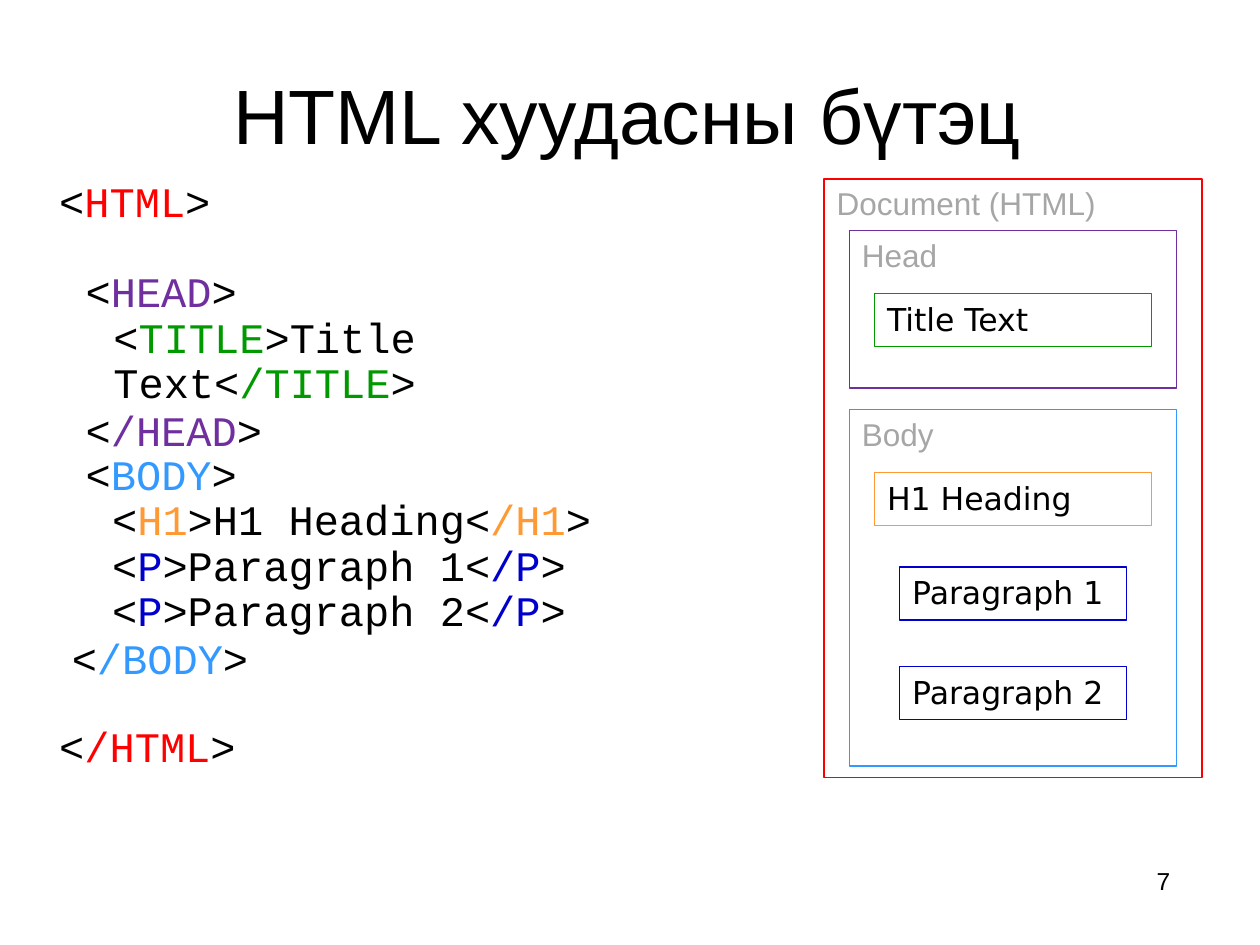
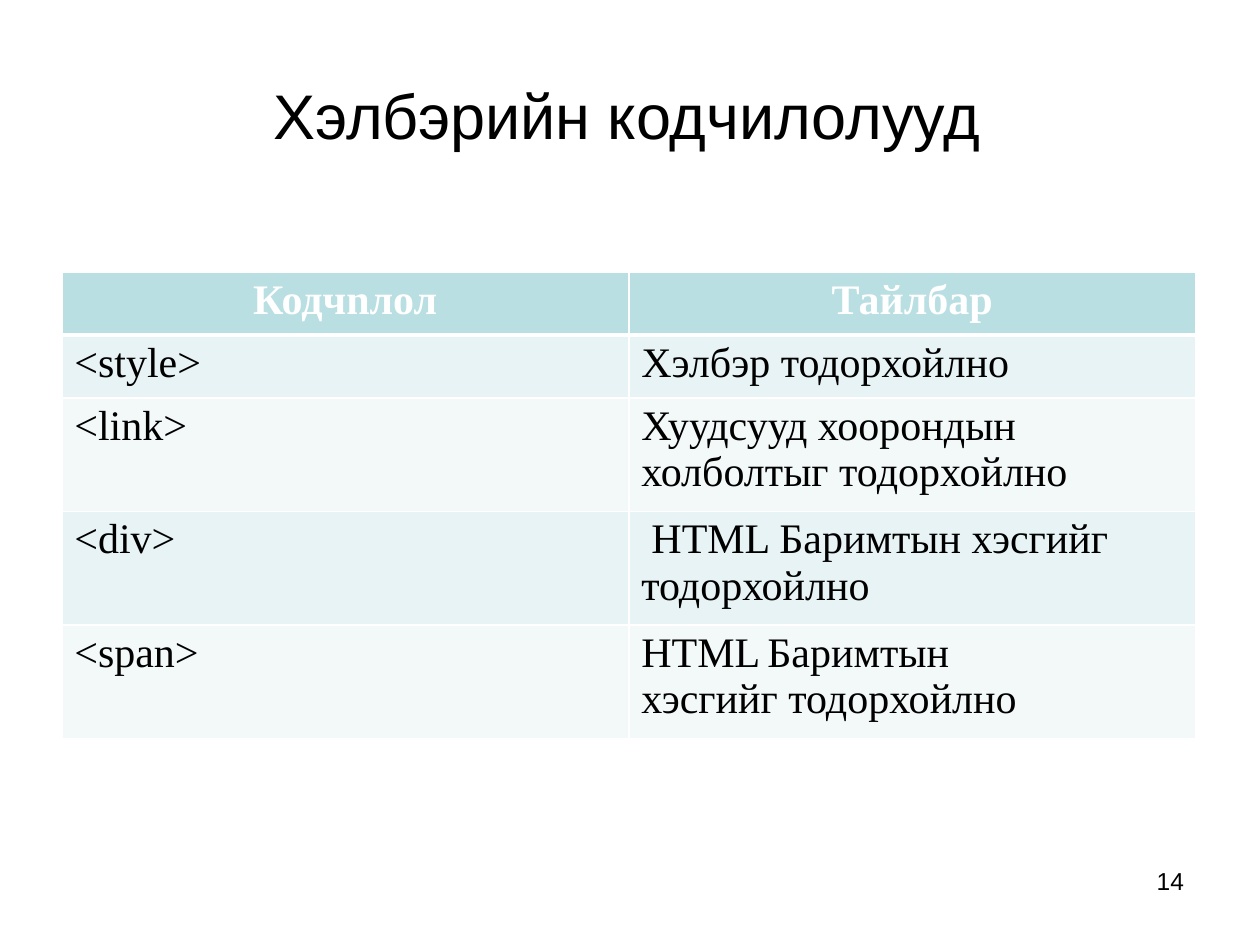
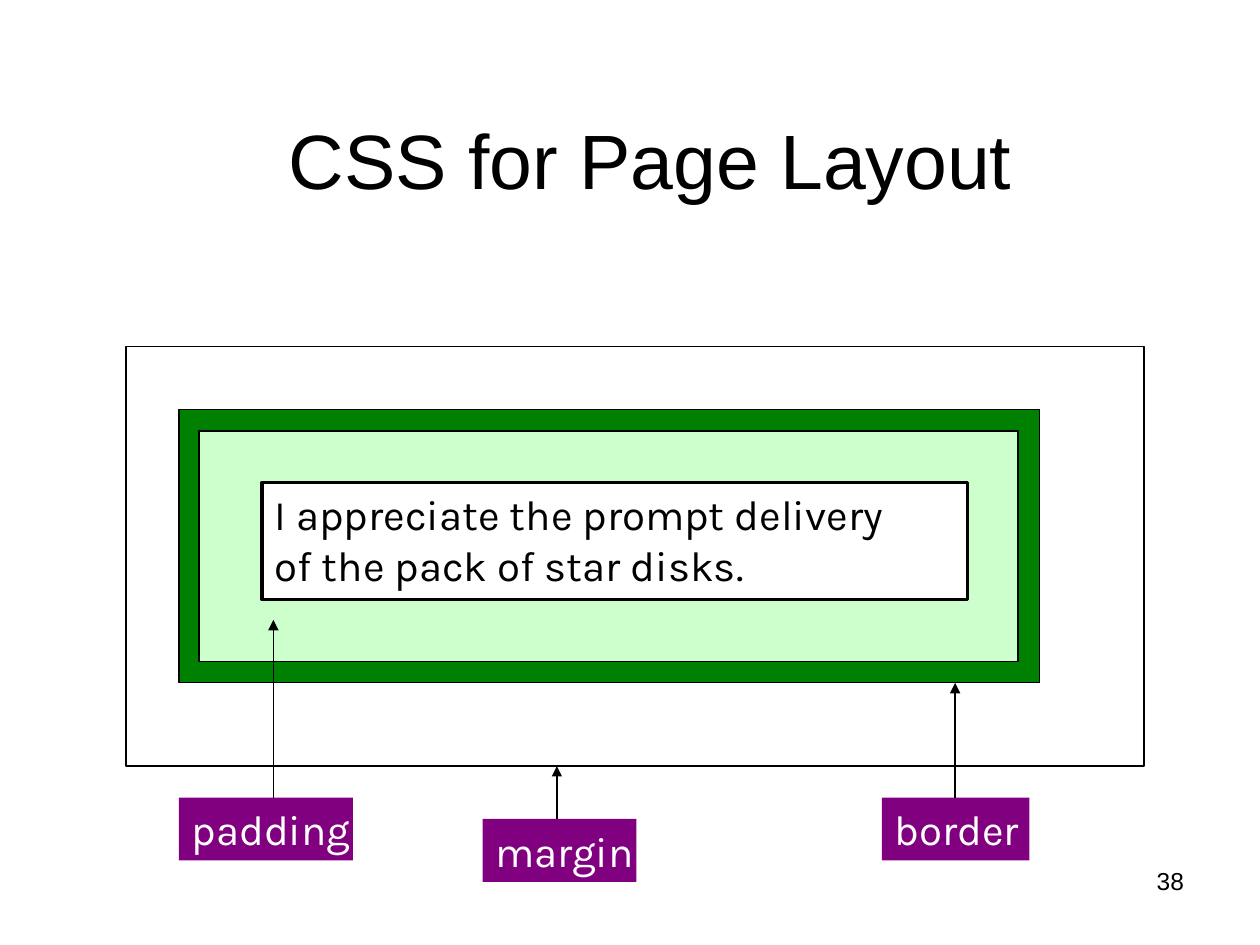
"""Build three lecture slides on HTML structure, style tags and CSS page layout."""
from lxml import etree
from pptx import Presentation
from pptx.dml.color import RGBColor
from pptx.enum.shapes import MSO_CONNECTOR, MSO_SHAPE
from pptx.enum.text import MSO_ANCHOR, MSO_AUTO_SIZE, PP_ALIGN
from pptx.oxml.ns import qn
from pptx.util import Inches, Pt

RECTANGLE = MSO_SHAPE.RECTANGLE
STRAIGHT = MSO_CONNECTOR.STRAIGHT
TOP = MSO_ANCHOR.TOP
NO_AUTOFIT = MSO_AUTO_SIZE.NONE
LEFT, CENTER = PP_ALIGN.LEFT, PP_ALIGN.CENTER

BLACK, WHITE, GRAY = "000000", "FFFFFF", "A6A6A6"
RED, VIOLET, GREEN = "FF0000", "6F2F9F", "009900"
SKY, ORANGE, BLUE = "3399FF", "FF9933", "0000CC"
PURPLE, DARK_GREEN, PALE_GREEN = "800080", "008000", "CCFFCC"
HEADER_FILL, BAND_FILLS = "BADFE2", ("E7F3F4", "F3F8F9")
SANS, CODE, BOX, SERIF, CSS = (
    "Arial", "Courier New", "DejaVu Sans", "Times New Roman", "Karla")
TAG_COLORS = {"HTML": RED, "HEAD": VIOLET, "TITLE": GREEN,
              "BODY": SKY, "H1": ORANGE, "P": BLUE}


def rgb(value):
    """Turn a hex string into a colour."""
    return RGBColor.from_string(value)


def style_font(font, name, size, color, bold=False):
    """Set the typeface, size, colour and weight of a font."""
    font.name, font.size, font.bold = name, Pt(size), bold
    font.color.rgb = rgb(color)


def set_indent(paragraph, left=0, first=0, right=0):
    """Set the paragraph margins in inches."""
    properties = paragraph._p.get_or_add_pPr()
    for key, value in (("marL", left), ("marR", right), ("indent", first)):
        properties.set(key, str(Inches(value)))


def add_tab(paragraph, position):
    """Add a left tab stop."""
    tabs = etree.SubElement(paragraph._p.get_or_add_pPr(), qn("a:tabLst"))
    etree.SubElement(tabs, qn("a:tab"), pos=str(Inches(position)), algn="l")


def add_border(cell, side, width):
    """Draw one white border of a table cell."""
    line = etree.SubElement(cell._tc.get_or_add_tcPr(), qn(f"a:ln{side}"), w=str(Pt(width)))
    fill = etree.SubElement(line, qn("a:solidFill"))
    etree.SubElement(fill, qn("a:srgbClr"), val=WHITE)


class Deck:
    """Hold the shared style and the current slide."""

    def __init__(self):
        """Start an empty presentation."""
        self.presentation = Presentation()
        self.presentation.slide_width = Inches(10)
        self.presentation.slide_height = Inches(7.5)
        self.slide = None

    def prepare_frame(self, shape, inset_top):
        """Give a shape a wrapped, top-anchored text frame."""
        frame = shape.text_frame
        frame.word_wrap, frame.auto_size = True, NO_AUTOFIT
        frame.vertical_anchor = TOP
        frame.margin_left = frame.margin_right = frame.margin_bottom = 0
        frame.margin_top = Inches(inset_top)
        return frame

    def add_slide(self, title, number, place, size=44):
        """Add a slide with its title and page number."""
        self.slide = self.presentation.slides.add_slide(self.presentation.slide_layouts[5])
        shape = self.slide.shapes.title
        shape.left, shape.top, shape.width, shape.height = map(Inches, place)
        frame = self.prepare_frame(shape, 0.01)
        frame.text = title
        paragraph = frame.paragraphs[0]
        paragraph.alignment = LEFT
        set_indent(paragraph, 0.01)
        style_font(paragraph.runs[0].font, SANS, size, BLACK)
        self.add_number(number)

    def add_number(self, number):
        """Add the page number at the lower right."""
        shape = self.slide.shapes.add_textbox(*map(Inches, (9.14, 6.88, 0.45, 0.25)))
        frame = self.prepare_frame(shape, 0)
        frame.text = str(number)
        paragraph = frame.paragraphs[0]
        paragraph.line_spacing = Pt(16.5)
        set_indent(paragraph, 0.04)
        style_font(paragraph.runs[0].font, SANS, 14, BLACK)

    def add_box(self, place, text="", font=SANS, size=18, color=BLACK,
                fill=None, line=None, line_width=0.75, inset_top=0.05, right=0):
        """Add a rectangle with optional text, fill and outline."""
        shape = self.slide.shapes.add_shape(RECTANGLE, *map(Inches, place))
        shape.shadow.inherit = False
        if fill:
            shape.fill.solid()
            shape.fill.fore_color.rgb = rgb(fill)
        else:
            shape.fill.background()
        if line:
            shape.line.color.rgb = rgb(line)
            shape.line.width = Pt(line_width)
        else:
            shape.line.fill.background()
        if text:
            frame = self.prepare_frame(shape, inset_top)
            frame.text = text
            paragraph = frame.paragraphs[0]
            paragraph.alignment = LEFT
            set_indent(paragraph, 0.1, right=right)
            style_font(paragraph.runs[0].font, font, size, color)

    def add_code(self, place, lines):
        """Add markup lines, each with indent and line height, colouring the tag names."""
        shape = self.slide.shapes.add_textbox(*map(Inches, place))
        frame = self.prepare_frame(shape, 0.01)
        for index, (text, indent, height) in enumerate(lines):
            paragraph = frame.add_paragraph() if index else frame.paragraphs[0]
            set_indent(paragraph, indent)
            paragraph.line_spacing = Pt(height)
            for piece in text.replace("<", "<|").replace(">", "|>").split("|"):
                run = paragraph.add_run()
                run.text = piece
                style_font(run.font, CODE, 24, TAG_COLORS.get(piece.strip("/"), BLACK))

    def add_table(self, place, heights, rows):
        """Add a banded table and return it."""
        shape = self.slide.shapes.add_table(len(rows), len(rows[0]), *map(Inches, place))
        table = shape.table
        table.first_row = table.horz_banding = False
        for row_index, (height, texts) in enumerate(zip(heights, rows)):
            table.rows[row_index].height = Inches(height)
            for column_index, text in enumerate(texts):
                self.fill_cell(table.cell(row_index, column_index), text, row_index)
        return table

    def fill_cell(self, cell, text, row_index):
        """Write and format one table cell."""
        header = row_index == 0
        cell.margin_left = cell.margin_right = cell.margin_bottom = 0
        cell.margin_top = Inches(0.04)
        for side in "LRTB":
            thick = (side, row_index) in (("B", 0), ("T", 1))
            add_border(cell, side, 3 if thick else 1)
        cell.fill.solid()
        cell.fill.fore_color.rgb = rgb(HEADER_FILL if header else BAND_FILLS[(row_index - 1) % 2])
        cell.text_frame.text = text
        for paragraph in cell.text_frame.paragraphs:
            paragraph.alignment = CENTER if header else LEFT
            set_indent(paragraph, 0 if header else 0.1)
            style_font(paragraph.runs[0].font, SERIF, 24, WHITE if header else BLACK, header)

    def add_arrow(self, x, start, end):
        """Add a vertical arrow."""
        arrow = self.slide.shapes.add_connector(STRAIGHT, *map(Inches, (x, start, x, end)))
        arrow.line.color.rgb = rgb(BLACK)
        arrow.line.width = Pt(1)
        etree.SubElement(arrow.line._get_or_add_ln(), qn("a:tailEnd"), type="triangle")
        etree.SubElement(arrow._element.spPr, qn("a:effectLst"))


def build_structure(deck):
    """Build the slide on the structure of an HTML page."""
    deck.add_slide("HTML хуудасны бүтэц", 7, (1.84, 0.53, 6.6, 0.76))
    for place, text, line in (
            ((6.54, 1.42, 3, 4.75), "Document (HTML)", RED),
            ((6.74, 1.83, 2.6, 1.25), "Head", VIOLET),
            ((6.74, 3.25, 2.6, 2.83), "Body", SKY)):
        deck.add_box(place, text, color=GRAY, line=line, inset_top=0.04)
    for left, top, width, text, line in (
            (6.94, 2.33, 2.2, "Title Text", GREEN),
            (6.94, 3.75, 2.2, "H1 Heading", ORANGE),
            (7.14, 4.5, 1.8, "Paragraph 1", BLUE),
            (7.14, 5.29, 1.8, "Paragraph 2", BLUE)):
        deck.add_box((left, top, width, 0.42), text, BOX, line=line)
    outer, inner = 27.4, 25.9
    deck.add_code((0.46, 1.4, 1.48, 0.43), [("<HTML>", 0.01, outer)])
    deck.add_code((0.67, 2.12, 4.77, 1.15), [
        ("<HEAD>", 0.01, outer),
        ("<TITLE>Title Text</TITLE>", 0.23, inner),
        ("</HEAD>", 0.01, outer)])
    deck.add_code((0.56, 3.57, 4.39, 1.87), [
        ("<BODY>", 0.12, outer),
        ("<H1>H1 Heading</H1>", 0.33, inner),
        ("<P>Paragraph 1</P>", 0.33, inner),
        ("<P>Paragraph 2</P>", 0.33, inner),
        ("</BODY>", 0.01, outer)])
    deck.add_code((0.46, 5.73, 1.65, 0.43), [("</HTML>", 0.01, outer)])


def build_style_tags(deck):
    """Build the slide with the table of style tags."""
    deck.add_slide("Хэлбэрийн кодчилолууд", 14, (2.16, 0.6, 6.72, 0.84), 36)
    table = deck.add_table((0.49, 2.16, 9, 3.7), (0.5, 0.5, 0.9, 0.9, 0.9), (
        ("Кодчnлол", "Тайлбар"),
        ("<style>", "Хэлбэр тодорхойлно"),
        ("<link>", "Хуудсууд хоорондын\nхолболтыг тодорхойлно"),
        ("<div>", "HTML Баримтын хэсгийг тодорхойлно"),
        ("<span>", "HTML\tБаримтын хэсгийг тодорхойлно")))
    set_indent(table.cell(3, 1).text_frame.paragraphs[0], 0.1, 0.08)
    span_paragraph = table.cell(4, 1).text_frame.paragraphs[0]
    set_indent(span_paragraph, 0.1, right=0.8)
    add_tab(span_paragraph, 1.2)


def build_page_layout(deck):
    """Build the slide on the CSS box model."""
    deck.add_slide("CSS for Page Layout", 38, (2.28, 0.88, 6.1, 0.76))
    for place, fill in (
            ((1.42, 3.25, 6.83, 2.17), DARK_GREEN),
            ((1.58, 3.42, 6.5, 1.83), PALE_GREEN),
            ((1, 2.75, 8.08, 3.33), None)):
        deck.add_box(place, fill=fill, line=BLACK)
    deck.add_box((2.08, 3.83, 5.6, 0.93),
                 "I appreciate the prompt delivery of the pack of star disks.",
                 CSS, 24, fill=WHITE, line=BLACK, line_width=2, right=0.5)
    for text, left, top, width, arrow_x, arrow_end in (
            ("border", 7, 6.33, 1.17, 7.58, 5.42),
            ("margin", 3.83, 6.5, 1.22, 4.42, 6.08),
            ("padding", 1.42, 6.33, 1.38, 2.17, 4.92)):
        deck.add_box((left, top, width, 0.5), text, CSS, 24, WHITE, fill=PURPLE)
        deck.add_arrow(arrow_x, top, arrow_end)


def main():
    """Build the slides and save the file."""
    deck = Deck()
    build_structure(deck)
    build_style_tags(deck)
    build_page_layout(deck)
    deck.presentation.save("out.pptx")


if __name__ == "__main__":
    main()
